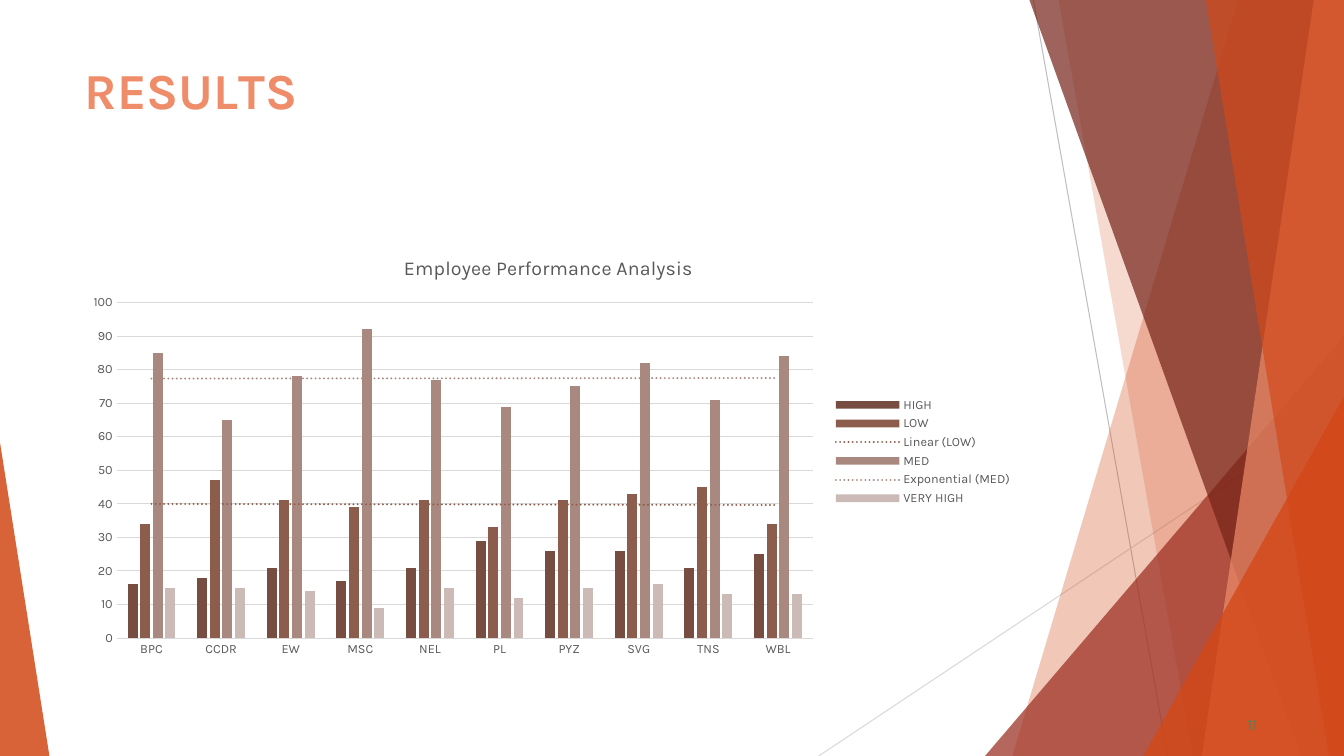
from lxml.etree import SubElement
from pptx import Presentation
from pptx.chart.data import CategoryChartData
from pptx.dml.color import RGBColor
from pptx.enum.chart import XL_CHART_TYPE, XL_LEGEND_POSITION, XL_TICK_MARK
from pptx.enum.shapes import MSO_CONNECTOR, MSO_SHAPE
from pptx.enum.text import MSO_ANCHOR, PP_ALIGN
from pptx.oxml import parse_xml
from pptx.oxml.ns import nsdecls, qn
from pptx.util import Inches, Pt

# Content
FONT = "Karla"
GRAY, GRID = "595959", "D9D9D9"
WIDTH, HEIGHT = 13.33, 7.5
TITLE_RUNS = [("R", 0), ("E", -0.4), ("S", 0.1), ("U", -0.3), ("L", -4), ("TS", 0)]
PAGE_NUMBER = [("11", 0.1)]
CHART_TITLE = [("Employee Performance Analysis", 0)]
TEAMS = ["BPC", "CCDR", "EW", "MSC", "NEL", "PL", "PYZ", "SVG", "TNS", "WBL"]
# name, values, color, trend line type
SERIES = [
    ("HIGH", [16, 18, 21, 17, 21, 29, 26, 26, 21, 25], "764D40", None),
    ("LOW", [34, 47, 41, 39, 41, 33, 41, 43, 45, 34], "8C5C4C", "linear"),
    ("MED", [85, 65, 78, 92, 77, 69, 75, 82, 71, 84], "A9887F", "exp"),
    ("VERY HIGH", [15, 15, 14, 9, 15, 12, 15, 16, 13, 13], "CBBAB6", None),
]

# Decoration: from x, from y, to x, to y, color
RAYS = [(10.25, 0, 11.58, HEIGHT, "BFBFBF"), (WIDTH, 4.03, 8.12, HEIGHT, GRID)]
# Bands reach the right edge: top left x, bottom left x, color, opacity
# Triangles stand on the bottom edge: left, top, width, apex, color, opacity
DECORATION = [
    ("band", 12.28, 10.04, "D34817", 30),
    ("band", 10.5, 11.83, "D34817", 20),
    ("triangle", 9.77, 3.33, 3.56, 1, "9B2D1F", 72),
    ("band", 10.21, 12.91, "742217", 70),
    ("band", 13.03, 11.92, "EF8C6A", 70),
    ("band", 11.96, 13.18, "D34817", 65),
    ("triangle", 11.34, 3.93, 1.99, 1, "D34817", 80),
    ("triangle", 0, 4.39, 0.49, 0, "D34817", 85),
]


def rgb(color):
    return RGBColor.from_string(color)


def set_font(font, size, color, bold=False):
    font.name, font.size, font.bold = FONT, Pt(size), bold
    font.color.rgb = rgb(color)


def write(frame, runs, size, color, bold=False, before=0, indent=0, inset=True):
    """Fill a text frame with (text, letter spacing) runs."""
    if inset:
        frame.word_wrap = True
        frame.vertical_anchor = MSO_ANCHOR.TOP
        frame.margin_left = frame.margin_right = frame.margin_bottom = 0
        frame.margin_top = Inches(0.01)
    para = frame.paragraphs[0]
    if inset:
        para.alignment = PP_ALIGN.LEFT
        para.space_before = Pt(before)
        properties = para._p.get_or_add_pPr()
        properties.set("marL", str(Inches(indent)))
        properties.set("indent", "0")
    for text, spacing in runs:
        span = para.add_run()
        span.text = text
        set_font(span.font, size, color, bold)
        if spacing:
            span.font._element.set("spc", str(round(spacing * 100)))


def paint(shape, color, opacity):
    shape.shadow.inherit = False
    shape.fill.solid()
    shape.fill.fore_color.rgb = rgb(color)
    shape.line.fill.background()
    tint = next(shape.element.iter(qn("a:srgbClr")))
    SubElement(tint, qn("a:alpha")).set("val", str(opacity * 1000))


def add_ray(page, x1, y1, x2, y2, color):
    ray = page.shapes.add_connector(
        MSO_CONNECTOR.STRAIGHT, Inches(x1), Inches(y1), Inches(x2), Inches(y2))
    ray.line.color.rgb = rgb(color)
    ray.line.width = Pt(0.75)
    SubElement(ray.element.spPr, qn("a:effectLst"))


def add_band(page, top_left, bottom_left, color, opacity):
    corners = [(WIDTH, 0), (WIDTH, HEIGHT), (bottom_left, HEIGHT)]
    builder = page.shapes.build_freeform(Inches(top_left), 0)
    builder.add_line_segments([(Inches(x), Inches(y)) for x, y in corners], close=True)
    paint(builder.convert_to_shape(), color, opacity)


def add_triangle(page, left, top, width, apex, color, opacity):
    shape = page.shapes.add_shape(
        MSO_SHAPE.ISOSCELES_TRIANGLE, Inches(left), Inches(top),
        Inches(width), Inches(HEIGHT - top))
    shape.adjustments[0] = apex
    paint(shape, color, opacity)


def add_trend(series, kind, color):
    trend = parse_xml(
        f'<c:trendline {nsdecls("c", "a")}><c:spPr><a:ln w="{Pt(1.5)}" cap="rnd">'
        f'<a:solidFill><a:srgbClr val="{color}"/></a:solidFill>'
        f'<a:prstDash val="sysDot"/></a:ln></c:spPr><c:trendlineType val="{kind}"/>'
        '<c:dispRSqr val="0"/><c:dispEq val="0"/></c:trendline>')
    series._element.find(qn("c:cat")).addprevious(trend)


def add_performance_chart(page):
    data = CategoryChartData()
    data.categories = TEAMS
    for name, values, _, _ in SERIES:
        data.add_series(name, values)
    chart = page.shapes.add_chart(
        XL_CHART_TYPE.COLUMN_CLUSTERED, Inches(0.74), Inches(2.36),
        Inches(9.4), Inches(4.24), data).chart
    set_font(chart.font, 10, "000000")
    write(chart.chart_title.text_frame, CHART_TITLE, 14, GRAY, inset=False)
    chart.chart_title.include_in_layout = False

    # Columns and trend lines
    plot = chart.plots[0]
    plot.gap_width, plot.overlap, plot.vary_by_categories = 219, -27, False
    for series, (_, _, color, trend) in zip(plot.series, SERIES):
        series.format.fill.solid()
        series.format.fill.fore_color.rgb = rgb(color)
        if trend:
            add_trend(series, trend, color)

    # Axes and legend
    teams, scores = chart.category_axis, chart.value_axis
    for axis in (teams, scores):
        axis.major_tick_mark = axis.minor_tick_mark = XL_TICK_MARK.NONE
        set_font(axis.tick_labels.font, 9, GRAY)
    scores.minimum_scale, scores.maximum_scale, scores.major_unit = 0, 100, 10
    scores.format.line.fill.background()
    scores.has_major_gridlines = True
    for line in (teams.format.line, scores.major_gridlines.format.line):
        line.color.rgb = rgb(GRID)
        line.width = Pt(0.75)
    chart.has_legend = True
    chart.legend.position = XL_LEGEND_POSITION.RIGHT
    chart.legend.include_in_layout = False
    set_font(chart.legend.font, 9, GRAY)


def main():
    deck = Presentation()
    deck.slide_width, deck.slide_height = Inches(WIDTH), Inches(HEIGHT)
    page = deck.slides.add_slide(deck.slide_layouts[5])

    # Background facets
    for ray in RAYS:
        add_ray(page, *ray)
    builders = {"band": add_band, "triangle": add_triangle}
    for kind, *geometry in DECORATION:
        builders[kind](page, *geometry)

    # Title and page number
    title = page.shapes.title
    title.left, title.top = Inches(0.83), Inches(0.58)
    title.width, title.height = Inches(9.4), Inches(0.62)
    write(title.text_frame, TITLE_RUNS, 36, "EF8C6A", bold=True, before=1.1, indent=0.01)
    number = page.shapes.add_textbox(Inches(12.33), Inches(7.08), Inches(0.25), Inches(0.21))
    write(number.text_frame, PAGE_NUMBER, 11, "2D936B", before=0.6, indent=0.04)

    add_performance_chart(page)
    deck.save("out.pptx")


if __name__ == "__main__":
    main()
